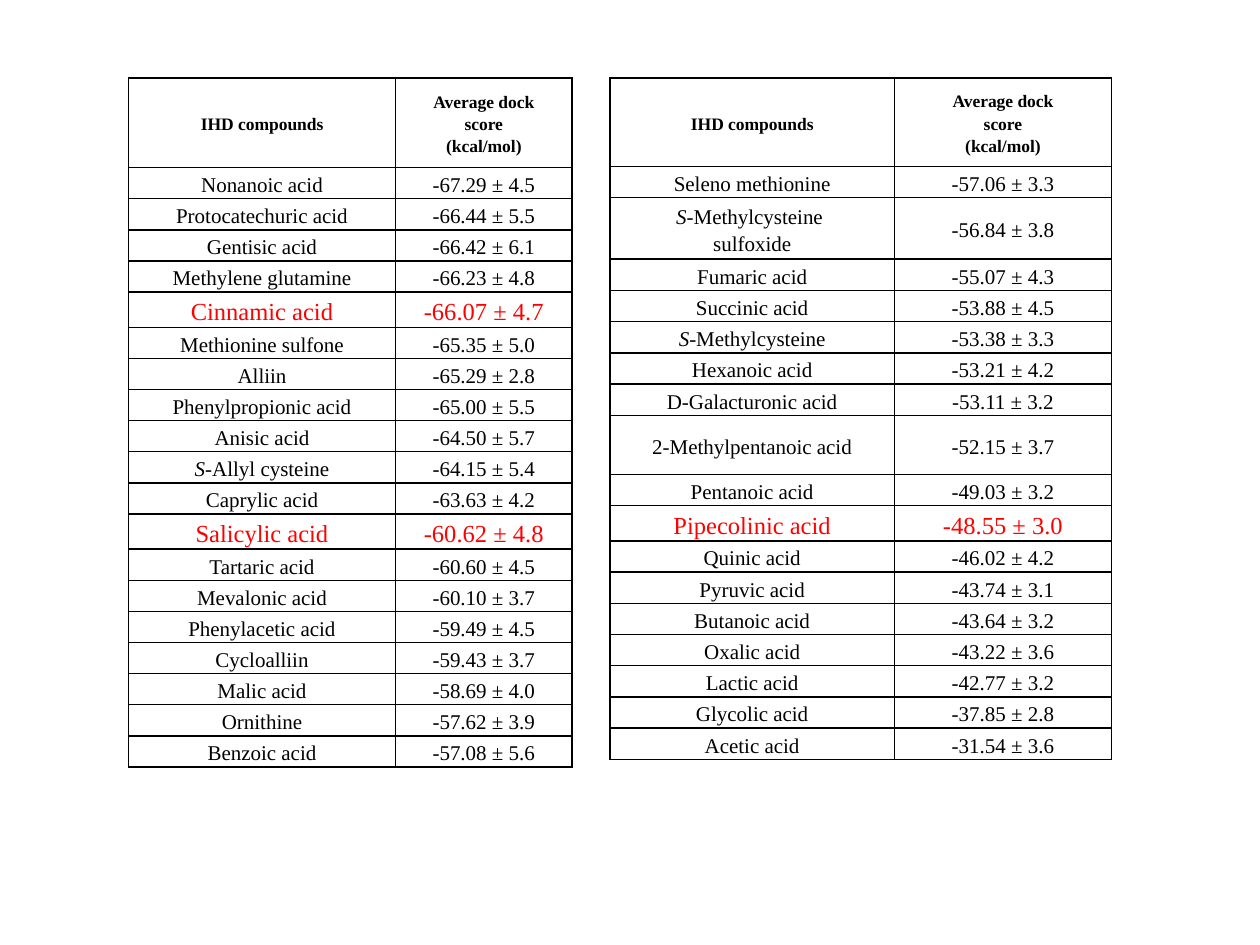
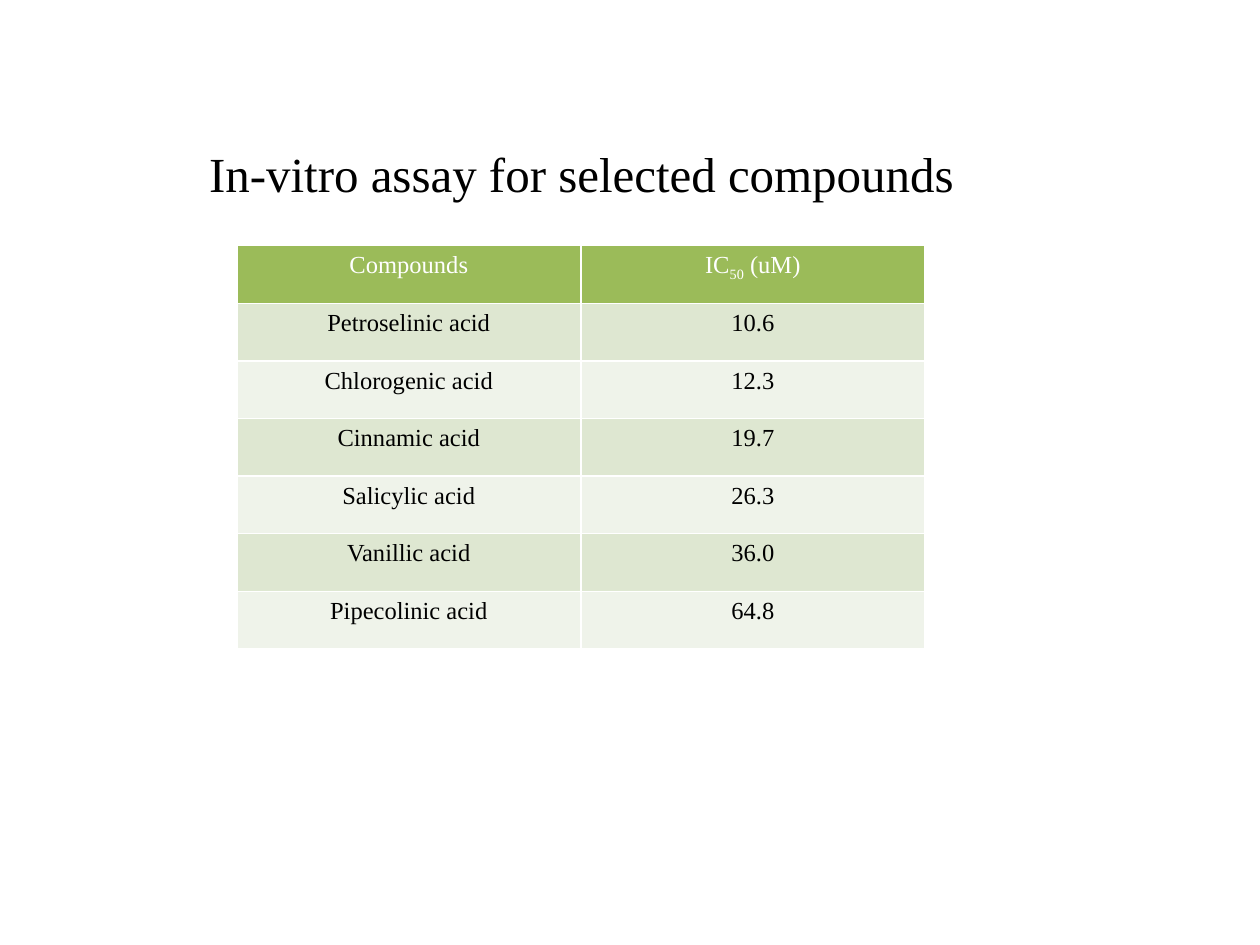
from copy import deepcopy
from dataclasses import dataclass, field
from typing import NamedTuple

from lxml.etree import SubElement
from pptx import Presentation
from pptx.dml.color import RGBColor
from pptx.enum.text import MSO_ANCHOR as Anchor, MSO_AUTO_SIZE as AutoSize, PP_ALIGN as Align
from pptx.oxml.ns import qn
from pptx.util import Inches, Pt


@dataclass(frozen=True)
class Theme:
    font: str = "Times New Roman"
    ink: str = "000000"
    paper: str = "FFFFFF"
    accent: str = "FF0000"
    header_fill: str = "9BBB59"
    band_fills: tuple[str, str] = ("DEE7D1", "EFF3EA")
    title_size: int = 28
    highlight_size: int = 14
    assay_size: int = 14
    score_size: int = 12
    score_header_size: int = 10
    rule: int = 1


THEME = Theme()


class Span(NamedTuple):
    text: str
    italic: bool = False
    baseline: int = 0


class TextStyle(NamedTuple):
    size: int
    color: str
    bold: bool = False


Content = str | tuple[Span, ...]
Row = tuple[Content, Content]


@dataclass(frozen=True)
class TableLook:
    header: TextStyle
    body: TextStyle
    border: str
    cell_format: dict
    line_spacing: float | None = None
    header_fill: str | None = None
    band_fills: tuple[str | None, ...] = (None,)
    highlight: TextStyle | None = None


@dataclass(frozen=True)
class TableBlock:
    left: float
    top: float
    height: float
    columns: tuple[float, float]
    rows: list[Row]
    look: TableLook
    tall_rows: dict[int, float] = field(default_factory=dict)

    def row_heights(self) -> list[float]:
        shared = self.height - sum(self.tall_rows.values())
        usual = shared / (len(self.rows) - len(self.tall_rows))
        return [self.tall_rows.get(i, usual) for i in range(len(self.rows))]


SCORE_LOOK = TableLook(
    header=TextStyle(THEME.score_header_size, THEME.ink, bold=True),
    body=TextStyle(THEME.score_size, THEME.ink),
    highlight=TextStyle(THEME.highlight_size, THEME.accent),
    border=THEME.ink,
    line_spacing=1.15,
    cell_format={
        "vertical_anchor": Anchor.MIDDLE,
        "margin_left": Inches(0.01),
        "margin_top": Inches(0.01),
        "margin_right": Inches(0.01),
        "margin_bottom": Inches(0),
    },
)
ASSAY_LOOK = TableLook(
    header=TextStyle(THEME.assay_size, THEME.paper),
    body=TextStyle(THEME.assay_size, THEME.ink),
    border=THEME.paper,
    cell_format={"vertical_anchor": Anchor.TOP},
    header_fill=THEME.header_fill,
    band_fills=THEME.band_fills,
)

HIGHLIGHTED = {"Cinnamic acid", "Salicylic acid", "Pipecolinic acid"}
ITALIC_S = Span("S", italic=True)
SCORE_HEADER: Row = ("IHD compounds", "Average dock\vscore\n(kcal/mol)")

HIGHER_SCORES: list[Row] = [
    SCORE_HEADER,
    ("Nonanoic acid", "-67.29 ± 4.5"),
    ("Protocatechuric acid", "-66.44 ± 5.5"),
    ("Gentisic acid", "-66.42 ± 6.1"),
    ("Methylene glutamine", "-66.23 ± 4.8"),
    ("Cinnamic acid", "-66.07 ± 4.7"),
    ("Methionine sulfone", "-65.35 ± 5.0"),
    ("Alliin", "-65.29 ± 2.8"),
    ("Phenylpropionic acid", "-65.00 ± 5.5"),
    ("Anisic acid", "-64.50 ± 5.7"),
    ((ITALIC_S, Span("-Allyl cysteine")), "-64.15 ± 5.4"),
    ("Caprylic acid", "-63.63 ± 4.2"),
    ("Salicylic acid", "-60.62 ± 4.8"),
    ("Tartaric acid", "-60.60 ± 4.5"),
    ("Mevalonic acid", "-60.10 ± 3.7"),
    ("Phenylacetic acid", "-59.49 ± 4.5"),
    ("Cycloalliin", "-59.43 ± 3.7"),
    ("Malic acid", "-58.69 ± 4.0"),
    ("Ornithine", "-57.62 ± 3.9"),
    ("Benzoic acid", "-57.08 ± 5.6"),
]
LOWER_SCORES: list[Row] = [
    SCORE_HEADER,
    ("Seleno methionine", "-57.06 ± 3.3"),
    ((ITALIC_S, Span("-Methylcysteine \vsulfoxide")), "-56.84 ± 3.8"),
    ("Fumaric acid", "-55.07 ± 4.3"),
    ("Succinic acid", "-53.88 ± 4.5"),
    ((ITALIC_S, Span("-Methylcysteine")), "-53.38 ± 3.3"),
    ("Hexanoic acid", "-53.21 ± 4.2"),
    ("D-Galacturonic acid", "-53.11 ± 3.2"),
    ("2-Methylpentanoic acid", "-52.15 ± 3.7"),
    ("Pentanoic acid", "-49.03 ± 3.2"),
    ("Pipecolinic acid", "-48.55 ± 3.0"),
    ("Quinic acid", "-46.02 ± 4.2"),
    ("Pyruvic acid", "-43.74 ± 3.1"),
    ("Butanoic acid", "-43.64 ± 3.2"),
    ("Oxalic acid", "-43.22 ± 3.6"),
    ("Lactic acid", "-42.77 ± 3.2"),
    ("Glycolic acid", "-37.85 ± 2.8"),
    ("Acetic acid", "-31.54 ± 3.6"),
]
ASSAY_RESULTS: list[Row] = [
    ("Compounds", (Span("IC"), Span("50", baseline=-25000), Span(" (uM)"))),
    ("Petroselinic acid", "10.6"),
    ("Chlorogenic acid", "12.3"),
    ("Cinnamic acid", "19.7"),
    ("Salicylic acid", "26.3"),
    ("Vanillic acid", "36.0"),
    ("Pipecolinic acid", "64.8"),
]

SCORE_BLOCKS = [
    TableBlock(1.02, 0.62, 5.47, (2.12, 1.4), HIGHER_SCORES, SCORE_LOOK,
               {0: 0.71, 5: 0.28, 12: 0.28}),
    TableBlock(4.84, 0.62, 5.41, (2.26, 1.72), LOWER_SCORES, SCORE_LOOK,
               {0: 0.7, 2: 0.49, 8: 0.47, 10: 0.28}),
]
ASSAY_BLOCK = TableBlock(1.88, 1.95, 3.2, (2.73, 2.73), ASSAY_RESULTS, ASSAY_LOOK)


def apply(target, values: dict) -> None:
    for name, value in values.items():
        setattr(target, name, value)


def add_span(paragraph, span: Span, style: TextStyle) -> None:
    for index, line in enumerate(span.text.split("\v")):
        if index:
            paragraph.add_line_break()
            line_break = paragraph._p[-1]
        run = paragraph.add_run()
        run.text = line
        apply(run.font, {"name": THEME.font, "size": Pt(style.size),
                         "bold": style.bold, "italic": span.italic})
        run.font.color.rgb = RGBColor.from_string(style.color)
        properties = run._r.get_or_add_rPr()
        if span.baseline:
            properties.set("baseline", str(span.baseline))
        if index:
            line_break.append(deepcopy(properties))


def write_text(frame, content: Content, style: TextStyle, paragraph_format: dict) -> None:
    if isinstance(content, str):
        lines = [(Span(line),) for line in content.split("\n")]
    else:
        lines = [content]
    for index, spans in enumerate(lines):
        paragraph = frame.add_paragraph() if index else frame.paragraphs[0]
        apply(paragraph, paragraph_format)
        for span in spans:
            add_span(paragraph, span, style)


def draw_borders(cell, color: str) -> None:
    properties = cell._tc.get_or_add_tcPr()
    for side in "LRTB":
        line = SubElement(properties, qn(f"a:ln{side}"), w=str(Pt(THEME.rule)))
        fill = SubElement(line, qn("a:solidFill"))
        SubElement(fill, qn("a:srgbClr"), val=color)


def paint(cell, color: str | None) -> None:
    if color is None:
        cell.fill.background()
    else:
        cell.fill.solid()
        cell.fill.fore_color.rgb = RGBColor.from_string(color)


def draw_table(slide, block: TableBlock) -> None:
    look = block.look
    table = slide.shapes.add_table(
        len(block.rows), len(block.columns), Inches(block.left), Inches(block.top),
        Inches(sum(block.columns)), Inches(block.height)).table
    for column, width in zip(table.columns, block.columns):
        column.width = Inches(width)
    for row, height in zip(table.rows, block.row_heights()):
        row.height = Inches(height)
    paragraph_format = {"alignment": Align.CENTER, "line_spacing": look.line_spacing}
    for row_index, contents in enumerate(block.rows):
        is_header = row_index == 0
        style = look.header if is_header else look.body
        if look.highlight and contents[0] in HIGHLIGHTED:
            style = look.highlight
        band = look.band_fills[(row_index - 1) % len(look.band_fills)]
        for column_index, content in enumerate(contents):
            cell = table.cell(row_index, column_index)
            apply(cell, look.cell_format)
            draw_borders(cell, look.border)
            paint(cell, look.header_fill if is_header else band)
            write_text(cell.text_frame, content, style, paragraph_format)


def set_title(slide, text: str) -> None:
    title = slide.shapes.title
    apply(title, {"left": Inches(1.56), "top": Inches(1.09),
                  "width": Inches(6.64), "height": Inches(0.57)})
    apply(title.text_frame, {"vertical_anchor": Anchor.TOP, "word_wrap": True,
                             "auto_size": AutoSize.SHAPE_TO_FIT_TEXT})
    write_text(title.text_frame, text, TextStyle(THEME.title_size, THEME.ink),
               {"alignment": Align.LEFT})


def main() -> None:
    deck = Presentation()
    apply(deck, {"slide_width": Inches(10), "slide_height": Inches(7.5)})
    layouts = deck.slide_layouts

    scores = deck.slides.add_slide(layouts.get_by_name("Blank"))
    for block in SCORE_BLOCKS:
        draw_table(scores, block)

    assay = deck.slides.add_slide(layouts.get_by_name("Title Only"))
    set_title(assay, "In-vitro assay for selected compounds")
    draw_table(assay, ASSAY_BLOCK)

    deck.save("out.pptx")


if __name__ == "__main__":
    main()
